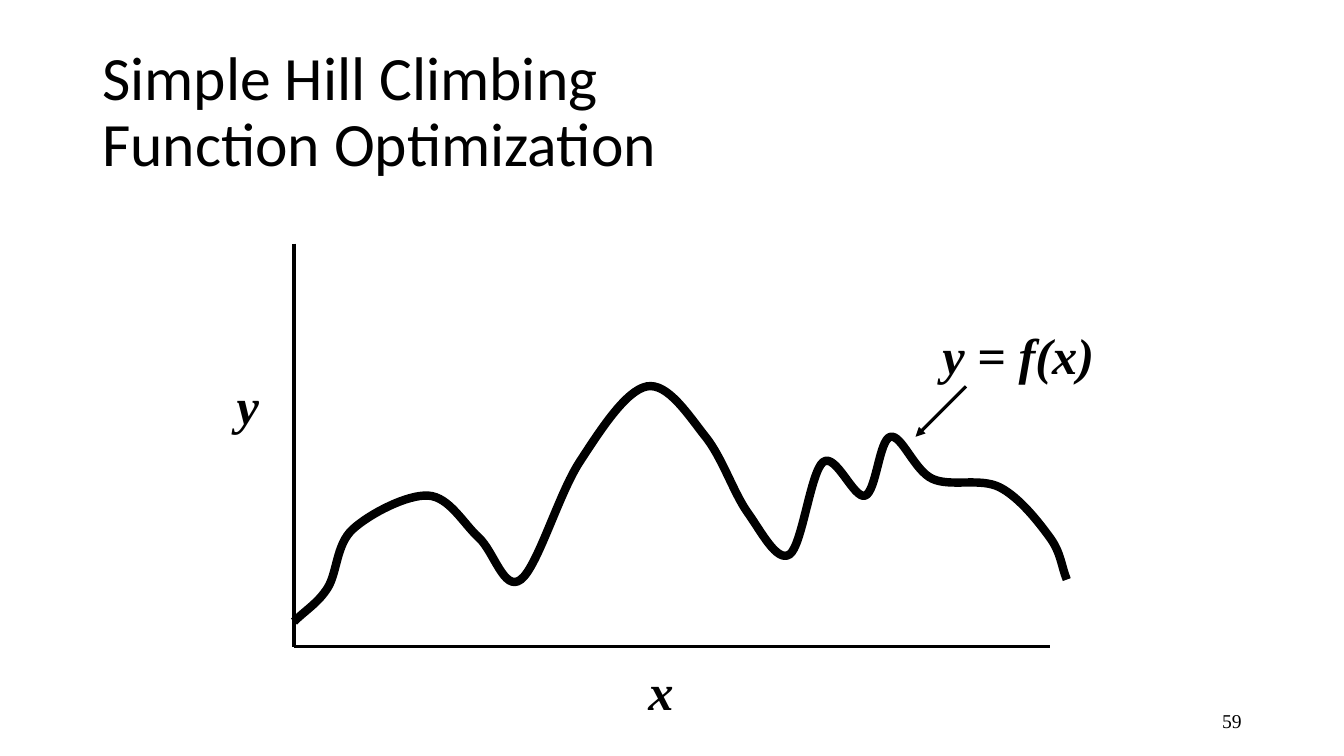
from pptx import Presentation
from pptx.util import Pt
from pptx.dml.color import RGBColor as Rgb
from pptx.enum.shapes import MSO_CONNECTOR as Conn
from pptx.enum.text import PP_ALIGN as Align, MSO_ANCHOR as Anchor
from pptx.oxml.ns import qn
from lxml.etree import SubElement as Sub

COLORS = {"ink": "000000"}
INK = Rgb.from_string(COLORS["ink"])
SERIF = "Times New Roman"

deck = Presentation()
deck.slide_width, deck.slide_height = Pt(960), Pt(540)
slide = deck.slides.add_slide(deck.slide_layouts[6])
shapes = slide.shapes


def add_text(lines, left, top, width, height, size, face, wrap=True, bold=False):
    """Add a text box with one run per line; return its frame."""
    frame = shapes.add_textbox(Pt(left), Pt(top), Pt(width), Pt(height)).text_frame
    frame.word_wrap = wrap
    para = frame.paragraphs[0]
    for i, line in enumerate(lines):
        if i:
            para.add_line_break()
        run = para.add_run()
        run.text = line
        font = run.font
        font.name, font.size, font.color.rgb = face, Pt(size), INK
        font.bold = font.italic = bold
    return frame


def add_line(x1, y1, x2, y2):
    """Add a plain straight line without shadow."""
    line = shapes.add_connector(Conn.STRAIGHT, Pt(x1), Pt(y1), Pt(x2), Pt(y2))
    line.line.color.rgb, line.line.width = INK, Pt(2.25)
    Sub(line._element.spPr, qn("a:effectLst"))
    return line


# Page number and title
page = add_text(["59"], 678, 500.5, 216, 28.8, 14, SERIF)
page.vertical_anchor = Anchor.MIDDLE
page.paragraphs[0].alignment = Align.RIGHT
title = add_text(["Simple Hill Climbing", "Function Optimization"],
                 66, 28.75, 828, 104.4, 44, "Calibri")
title.vertical_anchor = Anchor.MIDDLE
title.paragraphs[0].line_spacing = 0.9

# Axes
add_line(210, 174, 210, 462)
add_line(750, 462, 210, 462)

# Curve through its knots
knots = [(210, 444), (234, 420), (252, 378), (306, 354), (342, 384), (372, 414),
         (414, 330), (462, 276), (504, 312), (534, 366), (564, 396), (588, 330),
         (618, 354), (636, 312), (666, 342), (714, 348), (750, 384), (762, 414)]
pts = [(Pt(x), Pt(y)) for x, y in knots]
build = shapes.build_freeform(*pts[0])
build.add_line_segments(pts[1:], close=False)
curve = build.convert_to_shape()
curve.fill.background()
curve.line.color.rgb, curve.line.width = INK, Pt(6)
curve.shadow.inherit = False

# Turn each straight segment into a smooth one, with slopes set by the neighbours
first = tuple(2 * a - b for a, b in zip(pts[0], pts[1]))
last = tuple(2 * a - b for a, b in zip(pts[-1], pts[-2]))
chain = [first] + pts + [last]
segs = list(curve._element.iter(qn("a:lnTo")))
for seg, p, a, b, n in zip(segs, chain, chain[1:], chain[2:], chain[3:]):
    seg.tag = qn("a:cubicBezTo")
    seg.remove(seg[0])
    out = [s + (e - t) / 6 for s, e, t in zip(a, b, p)]
    back = [e - (t - s) / 6 for s, e, t in zip(a, b, n)]
    for x, y in (out, back, b):
        Sub(seg, qn("a:pt"), x=str(round(x - curve.left)), y=str(round(y - curve.top)))

# Arrow from the label to the curve
arrow = add_line(654, 312, 690, 276)
Sub(arrow.line._get_or_add_ln(), qn("a:headEnd"), type="triangle")

# Labels
for label, left, top, width in [("y = f(x)", 666, 228, 123),
                                ("x", 456, 468, 32.4), ("y", 162, 264, 30.2)]:
    add_text([label], left, top, width, 50.4, 36, SERIF, wrap=False, bold=True)

deck.save("out.pptx")
